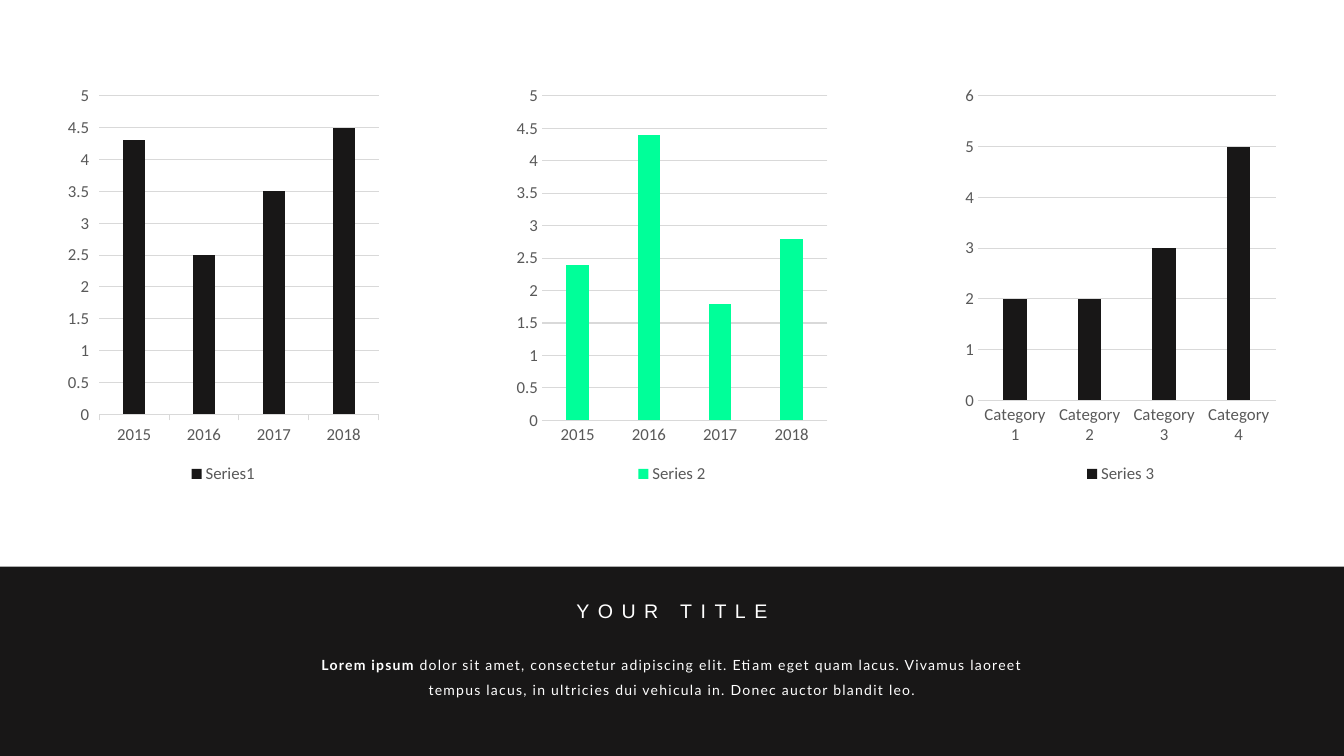
from dataclasses import dataclass

from pptx import Presentation
from pptx.chart.data import CategoryChartData
from pptx.dml.color import RGBColor
from pptx.enum.chart import XL_CHART_TYPE, XL_LEGEND_POSITION, XL_TICK_MARK
from pptx.enum.shapes import MSO_SHAPE
from pptx.enum.text import MSO_ANCHOR, MSO_AUTO_SIZE, PP_ALIGN
from pptx.slide import Slide
from pptx.text.text import Font
from pptx.util import Emu, Pt

PX = 9144  # EMU per px, 100 px to the inch
SLIDE_WIDTH, SLIDE_HEIGHT = 1333, 750

BLACK = RGBColor(0x18, 0x17, 0x17)
GREEN = RGBColor(0x00, 0xFF, 0x99)
WHITE = RGBColor(0xFF, 0xFF, 0xFF)
LABEL_GREY = RGBColor(0x59, 0x59, 0x59)
GRID_GREY = RGBColor(0xD9, 0xD9, 0xD9)

CHART_LEFT, CHART_TOP, CHART_STEP = 61, 77, 445
CHART_WIDTH, CHART_HEIGHT = 321, 407
BAND_TOP = 562

YEARS = ("2015", "2016", "2017", "2018")
CATEGORIES = tuple(f"Category {number}" for number in range(1, 5))


@dataclass(frozen=True)
class ColumnChart:
    series: str
    categories: tuple[str, ...]
    values: tuple[float, ...]
    color: RGBColor
    tick: XL_TICK_MARK = XL_TICK_MARK.NONE


@dataclass(frozen=True)
class TextRun:
    text: str
    bold: bool = False


@dataclass(frozen=True)
class Caption:
    left: int
    top: int
    width: int
    height: int
    runs: tuple[TextRun, ...]
    font: str
    size: int
    letter_spacing: int  # hundredths of a point
    line_spacing: float = 1.0
    anchor: MSO_ANCHOR = MSO_ANCHOR.TOP


CHARTS = (
    ColumnChart("Series1", YEARS, (4.3, 2.5, 3.5, 4.5), BLACK, XL_TICK_MARK.OUTSIDE),
    ColumnChart("Series 2", YEARS, (2.4, 4.4, 1.8, 2.8), GREEN),
    ColumnChart("Series 3", CATEGORIES, (2, 2, 3, 5), BLACK),
)

CAPTIONS = (
    Caption(295, 638, 743, 58, (
        TextRun("Lorem ipsum ", bold=True),
        TextRun("dolor sit amet, consectetur adipiscing elit. Etiam eget quam lacus. "
                "Vivamus laoreet tempus lacus, in ultricies dui vehicula in. "
                "Donec auctor blandit leo."),
    ), "Lato", 10, 90, line_spacing=1.5),
    Caption(535, 589, 263, 34, (TextRun("YOUR TITLE"),), "Arial", 14, 600,
            anchor=MSO_ANCHOR.MIDDLE),
)


def px(length: int) -> Emu:
    return Emu(length * PX)


def style_labels(font: Font) -> None:
    font.name = "Calibri"
    font.size = Pt(12)
    font.color.rgb = LABEL_GREY


def draw_chart(slide: Slide, left: int, item: ColumnChart) -> None:
    data = CategoryChartData()
    data.categories = item.categories
    data.add_series(item.series, item.values)
    chart = slide.shapes.add_chart(
        XL_CHART_TYPE.COLUMN_CLUSTERED, px(left), px(CHART_TOP),
        px(CHART_WIDTH), px(CHART_HEIGHT), data).chart
    chart.has_title = False
    chart.font.name = "Calibri"
    chart.font.size = Pt(10)

    # Columns
    plot = chart.plots[0]
    plot.gap_width = 219
    plot.overlap = -27
    plot.vary_by_categories = False
    columns = plot.series[0]
    columns.invert_if_negative = False
    columns.format.fill.solid()
    columns.format.fill.fore_color.rgb = item.color

    # Axes and gridlines
    for axis in (chart.category_axis, chart.value_axis):
        axis.major_tick_mark = item.tick
        axis.minor_tick_mark = XL_TICK_MARK.NONE
        style_labels(axis.tick_labels.font)
    chart.value_axis.format.line.fill.background()
    chart.value_axis.has_major_gridlines = True
    for line in (chart.category_axis.format.line,
                 chart.value_axis.major_gridlines.format.line):
        line.color.rgb = GRID_GREY
        line.width = Pt(0.75)

    # Legend
    chart.has_legend = True
    chart.legend.position = XL_LEGEND_POSITION.BOTTOM
    chart.legend.include_in_layout = False
    style_labels(chart.legend.font)


def draw_band(slide: Slide) -> None:
    band = slide.shapes.add_shape(
        MSO_SHAPE.RECTANGLE, 0, px(BAND_TOP), px(SLIDE_WIDTH), px(SLIDE_HEIGHT - BAND_TOP))
    band.shadow.inherit = False
    band.fill.solid()
    band.fill.fore_color.rgb = BLACK
    band.line.fill.background()


def draw_caption(slide: Slide, caption: Caption) -> None:
    frame = slide.shapes.add_textbox(
        px(caption.left), px(caption.top), px(caption.width), px(caption.height)).text_frame
    frame.word_wrap = True
    frame.auto_size = MSO_AUTO_SIZE.SHAPE_TO_FIT_TEXT
    frame.vertical_anchor = caption.anchor
    paragraph = frame.paragraphs[0]
    paragraph.alignment = PP_ALIGN.CENTER
    paragraph.line_spacing = caption.line_spacing
    for part in caption.runs:
        run = paragraph.add_run()
        run.text = part.text
        run.font.name = caption.font
        run.font.size = Pt(caption.size)
        run.font.bold = part.bold
        run.font.color.rgb = WHITE
        run.font._element.set("spc", str(caption.letter_spacing))


def main() -> None:
    presentation = Presentation()
    presentation.slide_width = px(SLIDE_WIDTH)
    presentation.slide_height = px(SLIDE_HEIGHT)
    slide = presentation.slides.add_slide(presentation.slide_layouts[6])

    # Row of charts
    for index, item in enumerate(CHARTS):
        draw_chart(slide, CHART_LEFT + index * CHART_STEP, item)

    # Title band
    draw_band(slide)
    for caption in CAPTIONS:
        draw_caption(slide, caption)

    presentation.save("out.pptx")


if __name__ == "__main__":
    main()
